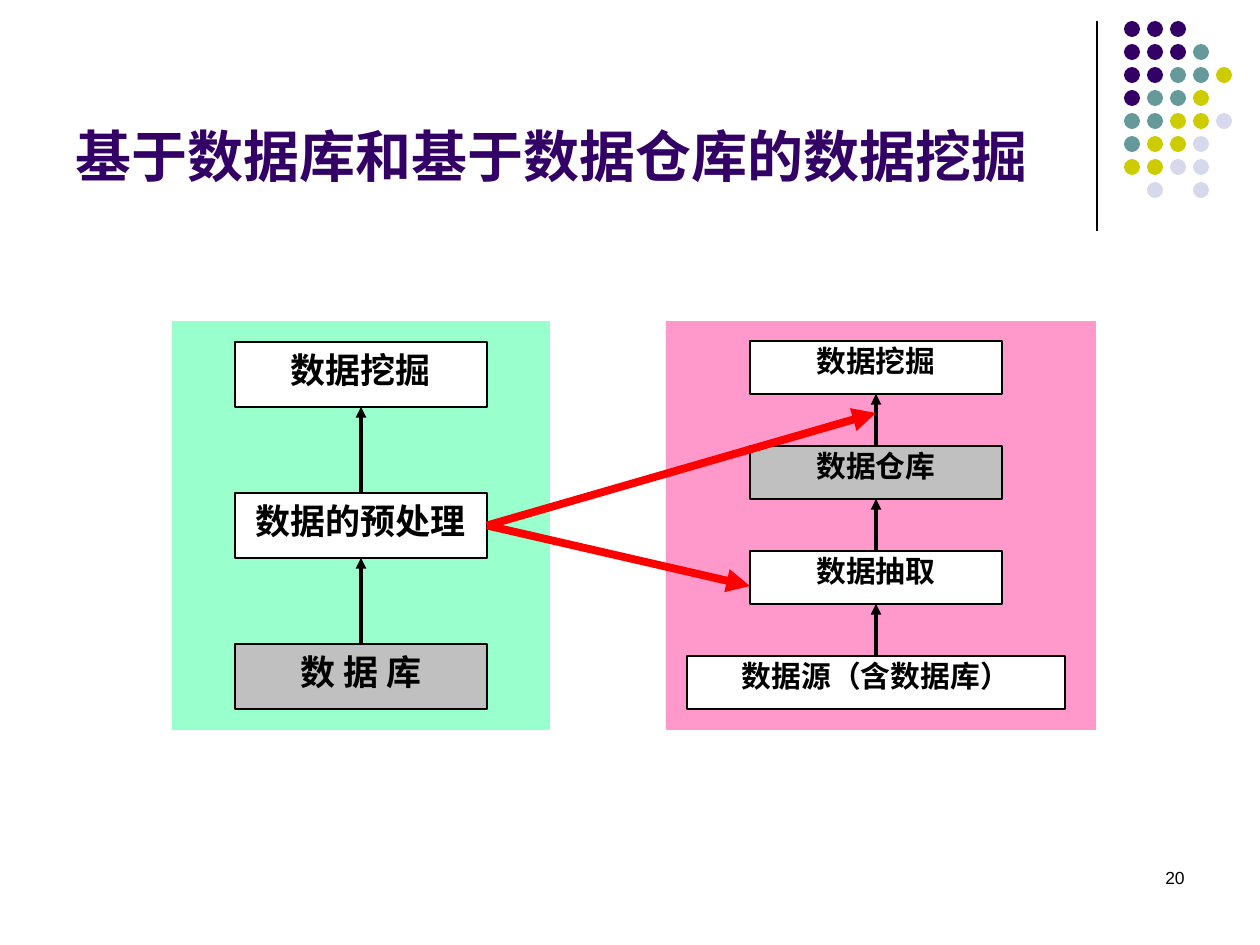
from pptx import Presentation
from pptx import util as u
from pptx.dml.color import RGBColor
from pptx.enum import shapes, text
from pptx.oxml.ns import qn
from lxml import etree

SCALE = 914400 / 126  # EMU per px
COLORS = {
    "purple": "330066", "teal": "669999", "olive": "CCCC00", "lilac": "D8D8EC",
    "pink": "FF99CC", "green": "99FFCC", "gray": "C0C0C0",
    "white": "FFFFFF", "black": "000000", "red": "FF0000",
}
DOT_KEYS = {"P": "purple", "T": "teal", "O": "olive", "L": "lilac"}
DOT_ROWS = ["PPP", "PPPT", "PPTTO", "PTTO", "TTOOL", "TOOL", "OOLL", " L L"]


def px(n):
    return u.Emu(round(n * SCALE))


def rgb(name):
    return RGBColor.from_string(COLORS[name])


def set_text(tf, content, size, font, color, align, bold=True):
    tf.text = content
    p = tf.paragraphs[0]
    p.alignment = align
    f = p.runs[0].font
    f.size, f.name, f.bold = u.Pt(size), font, bold
    f.color.rgb = rgb(color)
    return p


def add_filled(s, kind, x, y, w, h, fill):
    sp = s.shapes.add_shape(kind, px(x), px(y), px(w), px(h))
    sp.shadow.inherit = False
    sp.fill.solid()
    sp.fill.fore_color.rgb = rgb(fill)
    sp.line.fill.background()
    return sp


def add_box(s, x, y, w, h, label, fill, size, spacing):
    sp = add_filled(s, shapes.MSO_SHAPE.RECTANGLE, x, y, w, h, fill)
    sp.line.color.rgb = rgb("black")
    sp.line.width = u.Pt(0.75)
    tf = sp.text_frame
    tf.word_wrap = True
    tf.vertical_anchor = text.MSO_ANCHOR.TOP
    p = set_text(tf, label, size, "Times New Roman", "black", text.PP_ALIGN.CENTER)
    p.line_spacing = spacing
    return sp


def add_line(s, x1, y1, x2, y2, color, width, arrow=True):
    cn = s.shapes.add_connector(shapes.MSO_CONNECTOR.STRAIGHT,
                                px(x1), px(y1), px(x2), px(y2))
    cn.line.color.rgb = rgb(color)
    cn.line.width = u.Pt(width)
    if arrow:
        etree.SubElement(cn.line._get_or_add_ln(), qn("a:tailEnd"), type="triangle")
    etree.SubElement(cn._element.spPr, qn("a:effectLst"))
    return cn


def add_flow(s, center, top, pitch, height, size, spacing, steps):
    """Stack boxes from top to bottom, each joined to the one above it."""
    boxes = []
    for i, (label, fill, w) in enumerate(steps):
        boxes.append(add_box(s, center - w // 2, top + i * pitch, w, height,
                             label, fill, size, spacing))
    for upper, lower in zip(boxes, boxes[1:]):
        cn = add_line(s, center, top, center, top, "black", 2)
        cn.begin_connect(lower, 0)
        cn.end_connect(upper, 2)
    return boxes


def add_dots(s):
    for row, keys in enumerate(DOT_ROWS):
        for col, key in enumerate(keys):
            if key in DOT_KEYS:
                add_filled(s, shapes.MSO_SHAPE.OVAL, 1124 + 23 * col, 21 + 23 * row,
                           16, 16, DOT_KEYS[key])


def add_title(s, content):
    sp = s.shapes.title
    sp.left, sp.top, sp.width, sp.height = px(63), px(16), px(1040), px(179)
    tf = sp.text_frame
    tf.auto_size = text.MSO_AUTO_SIZE.NONE
    tf.vertical_anchor = text.MSO_ANCHOR.BOTTOM
    set_text(tf, content, 32, "Arial", "purple", text.PP_ALIGN.LEFT)


def add_page_number(s, number):
    tf = s.shapes.add_textbox(px(903), px(861), px(294), px(63)).text_frame
    tf.word_wrap = True
    set_text(tf, number, 10, "Arial", "black", text.PP_ALIGN.RIGHT, bold=False)


def main():
    prs = Presentation()
    prs.slide_width, prs.slide_height = u.Inches(10), u.Inches(7.5)
    s = prs.slides.add_slide(prs.slide_layouts[5])

    # Corner decoration and title
    add_line(s, 1097, 21, 1097, 231, "black", 0.75, arrow=False)
    add_dots(s)
    add_title(s, "基于数据库和基于数据仓库的数据挖掘")

    # Background panels
    rect = shapes.MSO_SHAPE.RECTANGLE
    add_filled(s, rect, 666, 321, 430, 409, "pink")
    add_filled(s, rect, 172, 321, 378, 409, "green")

    # Mining from a database (left) and from a warehouse (right)
    database = add_flow(s, 361, 342, 151, 65, 20, 1.0, [
        ("数据挖掘", "white", 252),
        ("数据的预处理", "white", 252),
        ("数 据 库", "gray", 252),
    ])
    add_flow(s, 876, 341, 105, 53, 17, 0.9, [
        ("数据挖掘", "white", 252),
        ("数据仓库", "gray", 252),
        ("数据抽取", "white", 252),
        ("数据源（含数据库）", "white", 378),
    ])

    # Preprocessing corresponds to two places in the warehouse flow
    for x, y in [(750, 586), (876, 413)]:
        cn = add_line(s, 487, 522, x, y, "red", 4.5)
        cn.begin_connect(database[1], 3)

    add_page_number(s, "20")
    prs.save("out.pptx")


if __name__ == "__main__":
    main()
